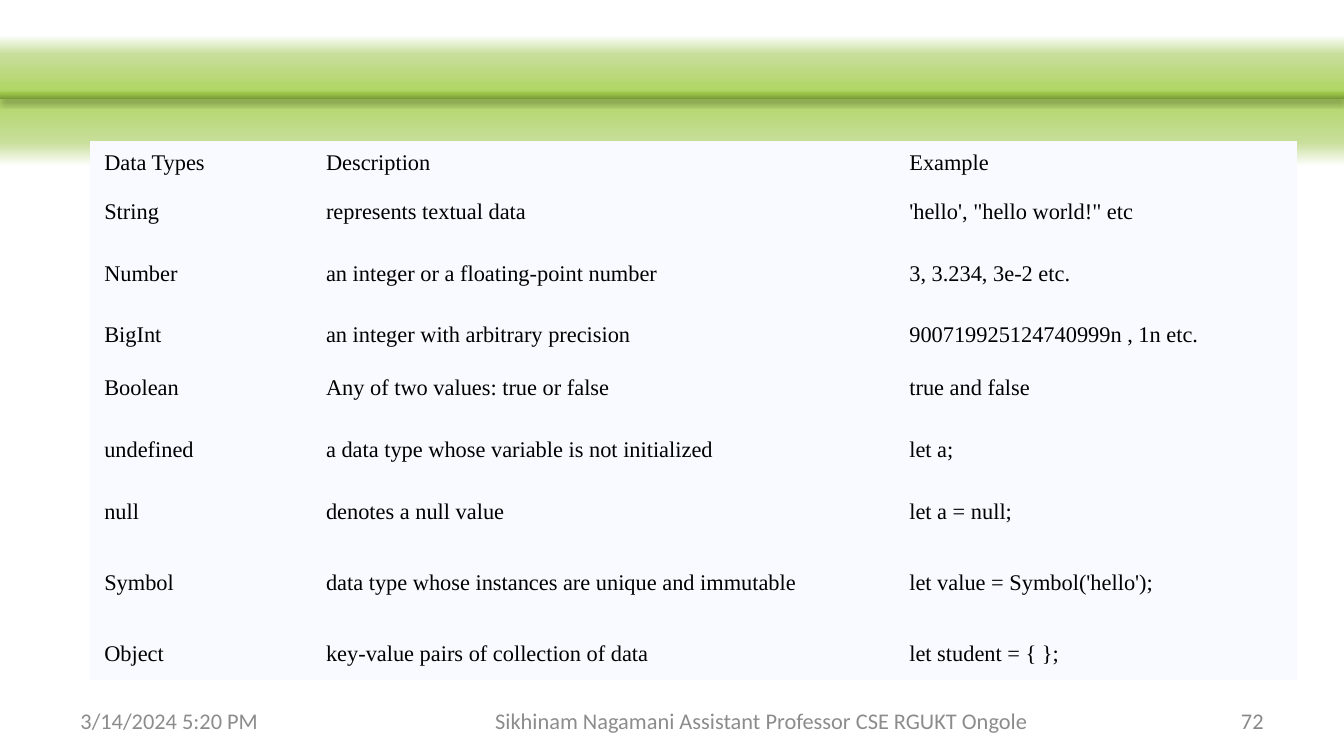
import dataclasses

import lxml.etree
import pptx
import pptx.dml.color
import pptx.enum.shapes
import pptx.enum.text
import pptx.oxml.ns
import pptx.util

Pt = pptx.util.Pt
qn = pptx.oxml.ns.qn
ALIGN = pptx.enum.text.PP_ALIGN
MIDDLE = pptx.enum.text.MSO_ANCHOR.MIDDLE
NO_STYLE = "{2D5ABB26-0587-4C30-8999-92F81FD0307C}"


@dataclasses.dataclass
class Band:
    top: float
    height: float
    stops: list[tuple[int, str]]  # percent, colour, from the bottom up


@dataclasses.dataclass
class Footer:
    text: str
    left: float
    width: float
    align: ALIGN
    color: str


GLOW = Band(18.7, 70.3, [(0, "FFFFFF"), (18, "C8DE9B"), (55, "AED55F"),
                         (85, "C8DE9B"), (100, "FFFFFF")])
BAR = Band(49.5, 3.6, [(0, "779737"), (80, "9BC348"), (100, "9DC746")])

FOOTERS = [
    Footer("3/14/2024 5:20 PM", 36, 168, ALIGN.LEFT, "8C8C8C"),
    Footer("Sikhinam Nagamani Assistant Professor CSE RGUKT Ongole",
           246, 324, ALIGN.CENTER, "8C8C8C"),
    Footer("72", 516, 168, ALIGN.RIGHT, "898989"),
]

COL_WIDTHS = [118.8, 312.5, 215.3]
ROW_HEIGHTS = [23.8, 28.1, 38.2, 28.1, 28.1, 38.2, 28.1, 48.2, 28.1]
ROWS = [
    ("Data Types", "Description", "Example"),
    ("String", "represents textual data", "'hello', \"hello world!\" etc"),
    ("Number", "an integer or a floating-point number", "3, 3.234, 3e-2 etc."),
    ("BigInt", "an integer with arbitrary precision",
     "900719925124740999n , 1n etc."),
    ("Boolean", "Any of two values: true or false", "true and false"),
    ("undefined", "a data type whose variable is not initialized", "let a;"),
    ("null", "denotes a null value", "let a = null;"),
    ("Symbol", "data type whose instances are unique and immutable",
     "let value = Symbol('hello');"),
    ("Object", "key-value pairs of collection of data", "let student = { };"),
]
CELL_FORMAT = {
    "vertical_anchor": MIDDLE,
    "margin_left": Pt(7.7), "margin_right": Pt(7.7),
    "margin_top": Pt(3.8), "margin_bottom": Pt(3.8),
}


def rgb(color: str) -> pptx.dml.color.RGBColor:
    return pptx.dml.color.RGBColor.from_string(color)


def set_attrs(obj, values: dict) -> None:
    for name, value in values.items():
        setattr(obj, name, value)


def add_run(p, text: str, font: str, color: str) -> None:
    r = p.add_run()
    r.text = text
    set_attrs(r.font, {"name": font, "size": Pt(12), "bold": False})
    r.font.color.rgb = rgb(color)


def add_band(s, band: Band):
    """Draw a full-width rectangle with a vertical gradient."""
    sp = s.shapes.add_shape(pptx.enum.shapes.MSO_SHAPE.RECTANGLE,
                            0, Pt(band.top), Pt(720), Pt(band.height))
    sp.shadow.inherit = False
    sp.line.fill.background()
    sp.fill.gradient()
    sp.fill.gradient_angle = 90
    stops = sp._element.spPr.find(".//" + qn("a:gsLst"))
    for gs in list(stops):
        stops.remove(gs)
    for percent, color in band.stops:
        gs = lxml.etree.SubElement(stops, qn("a:gs"), pos=str(percent * 1000))
        lxml.etree.SubElement(gs, qn("a:srgbClr"), val=color)
    return sp


def add_shadow(sp) -> None:
    effects = sp._element.spPr.find(qn("a:effectLst"))
    shadow = lxml.etree.SubElement(
        effects, qn("a:outerShdw"), blurRad=str(Pt(3.1)), dist=str(Pt(1.8)),
        dir="5400000", rotWithShape="0")
    color = lxml.etree.SubElement(shadow, qn("a:srgbClr"), val="000000")
    lxml.etree.SubElement(color, qn("a:alpha"), val="35000")


def add_type_table(s) -> None:
    frame = s.shapes.add_table(len(ROWS), len(COL_WIDTHS), Pt(48.2), Pt(75.6),
                               Pt(sum(COL_WIDTHS)), Pt(sum(ROW_HEIGHTS)))
    table = frame.table
    set_attrs(table, {"first_row": False, "horz_banding": False})
    table._tbl.tblPr.find(qn("a:tableStyleId")).text = NO_STYLE
    for column, width in zip(table.columns, COL_WIDTHS):
        column.width = Pt(width)
    for row, height, texts in zip(table.rows, ROW_HEIGHTS, ROWS):
        row.height = Pt(height)
        for cell, text in zip(row.cells, texts):
            set_attrs(cell, CELL_FORMAT)
            cell.fill.solid()
            cell.fill.fore_color.rgb = rgb("F8FAFF")
            add_run(cell.text_frame.paragraphs[0], text,
                    "Times New Roman", "000000")


def add_footer(s, footer: Footer) -> None:
    sp = s.shapes.add_textbox(Pt(footer.left), Pt(375.4),
                              Pt(footer.width), Pt(21.6))
    tf = sp.text_frame
    set_attrs(tf, {"word_wrap": True, "vertical_anchor": MIDDLE})
    p = tf.paragraphs[0]
    p.alignment = footer.align
    add_run(p, footer.text, "Calibri", footer.color)


def main() -> None:
    prs = pptx.Presentation()
    set_attrs(prs, {"slide_width": Pt(720), "slide_height": Pt(405)})
    s = prs.slides.add_slide(prs.slide_layouts[6])

    # Green header band
    add_band(s, GLOW)
    add_shadow(add_band(s, BAR))

    # Data types
    add_type_table(s)

    # Date, author and slide number
    for footer in FOOTERS:
        add_footer(s, footer)

    prs.save("out.pptx")


if __name__ == "__main__":
    main()
